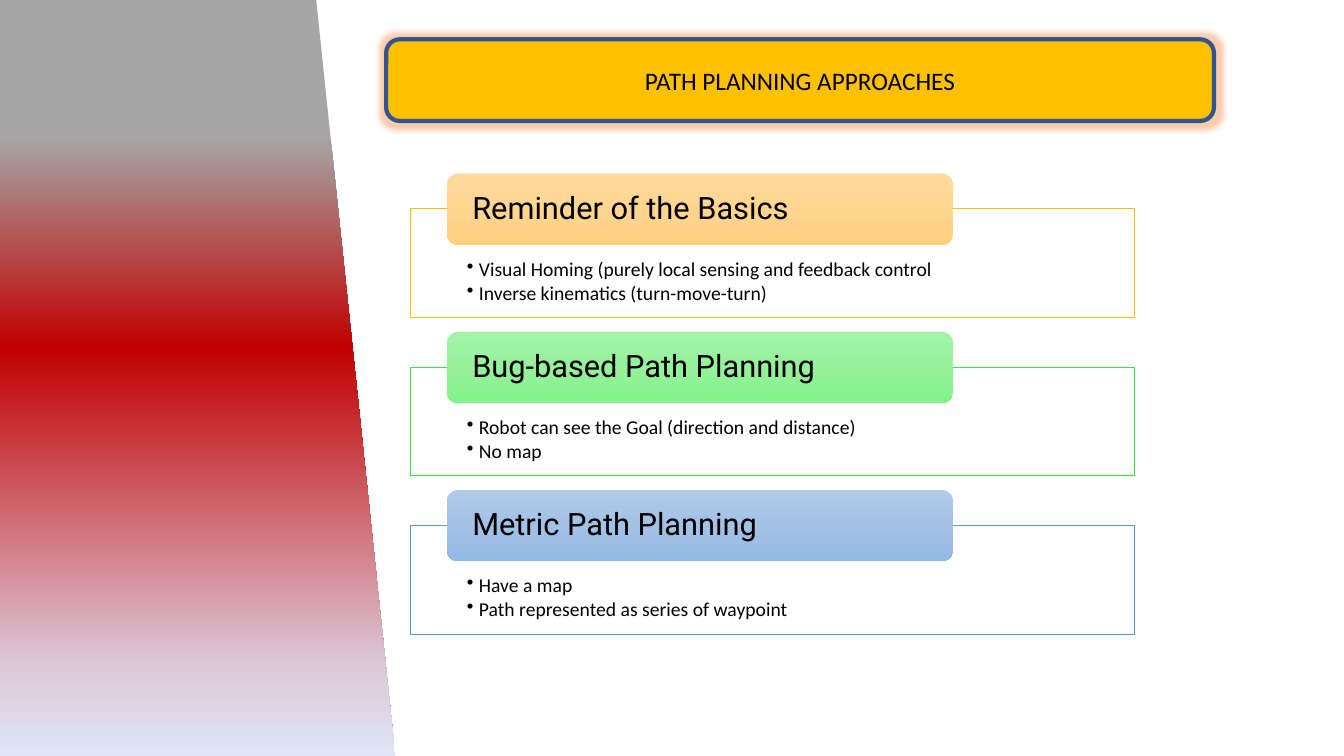
from lxml.etree import SubElement
from pptx import Presentation
from pptx.dml.color import RGBColor
from pptx.enum.shapes import MSO_SHAPE
from pptx.enum.text import MSO_ANCHOR, PP_ALIGN
from pptx.oxml.ns import qn
from pptx.util import Inches, Pt

APPROACHES = [
    ("Reminder of the Basics",
     ["Visual Homing (purely local sensing and feedback control",
      "Inverse kinematics (turn-move-turn)"],
     "FFC000", ["FFDB9E", "FFD590", "FFD07C"]),
    ("Bug-based Path Planning",
     ["Robot can see the Goal (direction and distance)", "No map"],
     "30E845", ["A4F4A9", "96F19B", "82F388"]),
    ("Metric Path Planning",
     ["Have a map", "Path represented as series of waypoint"],
     "5B9BD5", ["B1CBE9", "A3C1E5", "93B9E4"]),
]


def color(value):
    return RGBColor.from_string(value)


def add_box(s, kind, left, top, width, height, fill=None, line=None, weight=1):
    sp = s.shapes.add_shape(kind, Inches(left), Inches(top), Inches(width), Inches(height))
    sp.shadow.inherit = False
    if fill:
        sp.fill.solid()
        sp.fill.fore_color.rgb = color(fill)
    if line:
        sp.line.color.rgb = color(line)
        sp.line.width = Pt(weight)
    else:
        sp.line.fill.background()
    return sp


def add_color(parent, value, alpha=100):
    clr = SubElement(parent, qn("a:srgbClr"), val=value)
    if alpha < 100:
        SubElement(clr, qn("a:alpha"), val=str(alpha * 1000))


def set_gradient(sp, stops, angle):
    sp.fill.gradient()
    sp.fill.gradient_angle = angle
    stop_list = sp._element.spPr.find(".//" + qn("a:gsLst"))
    for stop in list(stop_list):
        stop_list.remove(stop)
    for position, value in stops:
        add_color(SubElement(stop_list, qn("a:gs"), pos=str(position * 1000)), value)


def set_margins(tf, left, top, right, bottom):
    tf.margin_left, tf.margin_top = Inches(left), Inches(top)
    tf.margin_right, tf.margin_bottom = Inches(right), Inches(bottom)


def add_text(p, text, size, font):
    r = p.add_run()
    r.text = text
    r.font.size = Pt(size)
    r.font.name = font
    r.font.color.rgb = color("000000")


def add_side_panel(s, left, top, width, height):
    # The shape is turned a quarter, so its sides are swapped about the centre
    sp = add_box(s, MSO_SHAPE.FLOWCHART_MANUAL_INPUT,
                 left + (width - height) / 2, top + (height - width) / 2, height, width)
    sp.rotation = 90
    set_gradient(sp, [(18, "A6A6A6"), (46, "C00000"), (88, "DCC9D8"), (100, "E0E5F7")], 0)


def add_title(s, left, top, width, height):
    sp = add_box(s, MSO_SHAPE.ROUNDED_RECTANGLE, left, top, width, height,
                 "FFC000", "325491", 3)
    # Orange glow
    effects = sp._element.spPr.find(qn("a:effectLst"))
    add_color(SubElement(effects, qn("a:glow"), rad=str(Inches(0.11))), "ED7D31", 40)
    tf = sp.text_frame
    tf.vertical_anchor = MSO_ANCHOR.MIDDLE
    p = tf.paragraphs[0]
    p.alignment = PP_ALIGN.CENTER
    add_text(p, "PATH PLANNING APPROACHES", 18, "Calibri")


def add_approach(s, left, top, width, heading, points, line, shades):
    # Outlined body with bullets
    body = add_box(s, MSO_SHAPE.RECTANGLE, left, top + 0.35, width, 1.08, "FFFFFF", line, 0.5)
    tf = body.text_frame
    tf.word_wrap = True
    tf.vertical_anchor = MSO_ANCHOR.TOP
    set_margins(tf, 0.56, 0.5, 0.56, 0.11)
    for i, point in enumerate(points):
        p = tf.add_paragraph() if i else tf.paragraphs[0]
        p.level = 1
        p.alignment = PP_ALIGN.LEFT
        p.line_spacing = 0.9
        p.space_after = Pt(2)
        pPr = p._p.get_or_add_pPr()
        pPr.set("marL", str(Inches(0.12)))
        pPr.set("indent", str(Inches(-0.12)))
        SubElement(pPr, qn("a:buChar"), char="•")
        add_text(p, point, 14, "Calibri")

    # Heading bar across the top edge of the body
    bar = add_box(s, MSO_SHAPE.ROUNDED_RECTANGLE, left + 0.36, top, width * 0.7, 0.71)
    set_gradient(bar, zip((0, 50, 100), shades), 270)
    tf = bar.text_frame
    tf.word_wrap = True
    tf.vertical_anchor = MSO_ANCHOR.MIDDLE
    set_margins(tf, 0.22, 0, 0.22, 0)
    p = tf.paragraphs[0]
    p.alignment = PP_ALIGN.LEFT
    p.line_spacing = 0.9
    add_text(p, heading, 22, "Roboto")


def main():
    prs = Presentation()
    prs.slide_width, prs.slide_height = Inches(13.33), Inches(7.5)
    s = prs.slides.add_slide(prs.slide_layouts[6])
    add_side_panel(s, 0, 0, 3.92, 7.5)
    add_title(s, 3.83, 0.39, 8.21, 0.81)
    for i, approach in enumerate(APPROACHES):
        add_approach(s, 4.07, 1.72 + i * 1.57, 7.18, *approach)
    prs.save("out.pptx")


if __name__ == "__main__":
    main()
